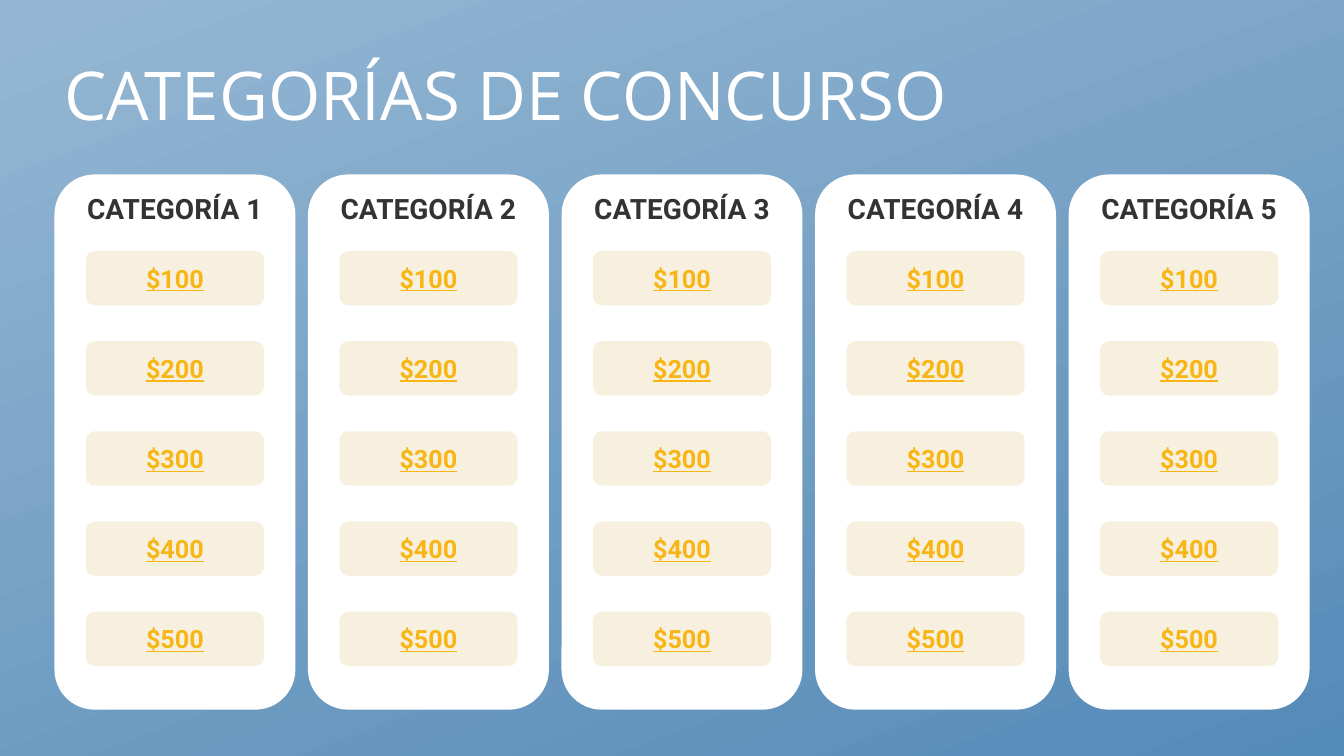
from dataclasses import dataclass

from pptx import Presentation
from pptx.dml.color import RGBColor as RGB
from pptx.enum.shapes import MSO_SHAPE as Shape
from pptx.enum.text import MSO_ANCHOR as Anchor, MSO_AUTO_SIZE as AutoSize, PP_ALIGN as Align
from pptx.util import Pt


@dataclass(frozen=True)
class Theme:
    sky: str = "94B6D2"
    sea: str = "558BB8"
    white: str = "FFFFFF"
    ink: str = "333333"
    cream: str = "F7F0DE"
    gold: str = "F7B615"
    title_font: str = "Open Sans"
    body_font: str = "Roboto"
    title_size: float = 48
    heading_size: float = 20
    prize_size: float = 18


class Board:
    def __init__(self, s, theme):
        self.s, self.theme = s, theme

    def background(self):
        fill = self.s.background.fill
        fill.gradient()
        fill.gradient_angle = 290
        stops = ((0.02, self.theme.sky), (1, self.theme.sea))
        for stop, (position, color) in zip(fill.gradient_stops, stops):
            stop.position = position
            stop.color.rgb = RGB.from_string(color)

    def title(self, text, x, y, w, h):
        sp, t = self.s.shapes.title, self.theme
        sp.left, sp.top, sp.width, sp.height = map(Pt, (x, y, w, h))
        tf = sp.text_frame
        tf.text = text
        tf.auto_size = AutoSize.NONE
        tf.vertical_anchor = Anchor.MIDDLE
        p = tf.paragraphs[0]
        p.alignment = Align.LEFT
        p.line_spacing = 0.9
        self.style(p, t.title_font, t.title_size, t.white)

    def style(self, p, name, size, color, bold=False):
        p.font.name, p.font.size, p.font.bold = name, Pt(size), bold
        p.font.color.rgb = RGB.from_string(color)

    def panel(self, text, x, y, w, h, fill, size, color, anchor):
        """Add a rounded panel with bold centred text and return its paragraph."""
        sp = self.s.shapes.add_shape(Shape.FLOWCHART_ALTERNATE_PROCESS, *map(Pt, (x, y, w, h)))
        sp.shadow.inherit = False
        sp.fill.solid()
        sp.fill.fore_color.rgb = RGB.from_string(fill)
        sp.line.fill.background()
        tf = sp.text_frame
        tf.text = text
        tf.word_wrap = True
        tf.vertical_anchor = anchor
        p = tf.paragraphs[0]
        p.alignment = Align.CENTER
        self.style(p, self.theme.body_font, size, color, bold=True)
        return p

    def category(self, text, x, y, w, h):
        t = self.theme
        self.panel(text, x, y, w, h, t.white, t.heading_size, t.ink, Anchor.TOP)

    def prize(self, text, x, y, w, h):
        t = self.theme
        p = self.panel(text, x, y, w, h, t.cream, t.prize_size, t.gold, Anchor.MIDDLE)
        p.font.underline = True


def main():
    left, column_step = 38.9, 181.1
    prize_top, prize_step, prize_inset = 179.3, 64.4, 22.4

    prs = Presentation()
    prs.slide_width, prs.slide_height = Pt(960), Pt(540)
    board = Board(prs.slides.add_slide(prs.slide_layouts[5]), Theme())
    board.background()
    board.title("CATEGORÍAS DE CONCURSO", left, 18, 828, 104.4)
    columns = [left + i * column_step for i in range(5)]
    for number, x in enumerate(columns, 1):
        board.category(f"CATEGORÍA {number}", x, 124.6, 172.1, 382.3)
    for x in columns:
        for row in range(5):
            board.prize(f"${(row + 1) * 100}", x + prize_inset,
                        prize_top + row * prize_step, 127.4, 38.9)
    prs.save("out.pptx")


if __name__ == "__main__":
    main()
